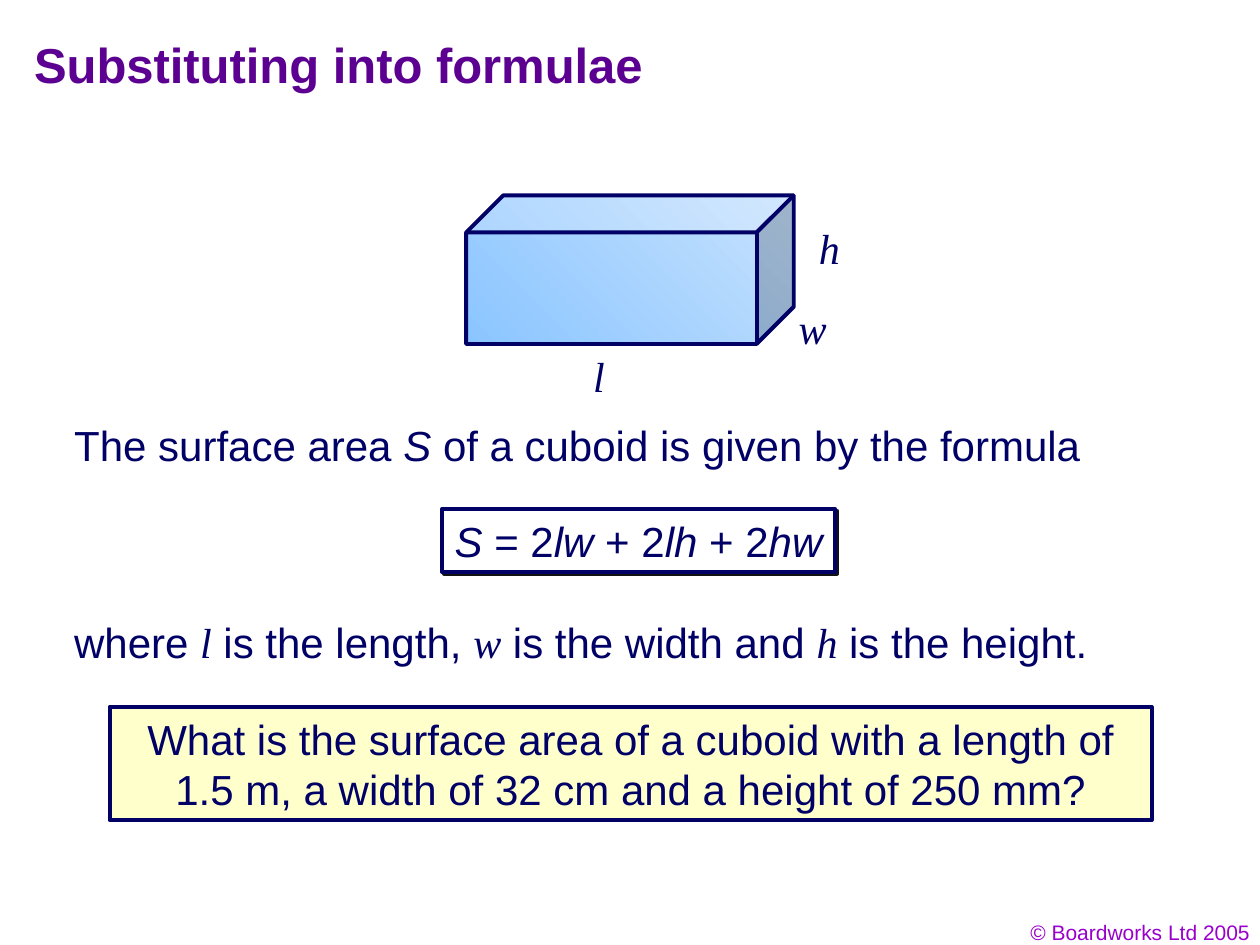
import pptx
import pptx.util
import pptx.dml.color
import pptx.enum.shapes
import pptx.enum.text
import pptx.oxml
import pptx.oxml.ns

Inches = pptx.util.Inches
Pt = pptx.util.Pt
Align = pptx.enum.text.PP_ALIGN
Anchor = pptx.enum.text.MSO_ANCHOR
Shape = pptx.enum.shapes.MSO_SHAPE

COLORS = {
    "title": "5B0091", "text": "010066", "line": "000066", "credit": "9900CC",
    "light": "C7E2FE", "deep": "8BC5FF", "white": "FFFFFF", "cream": "FFFFCC",
    "shadow": "111111",
}
SANS, SERIF = "Arial", "Times New Roman"
PLAIN, SLANT, MATH = (SANS, False), (SANS, True), (SERIF, True)


def color(name):
    return pptx.dml.color.RGBColor.from_string(COLORS[name])


def write(shape, runs, size=24, tint="text", bold=False, align=Align.LEFT,
          wrap=False, anchor=Anchor.TOP):
    frame = shape.text_frame
    frame.word_wrap = wrap
    frame.vertical_anchor = anchor
    frame.auto_size = pptx.enum.text.MSO_AUTO_SIZE.NONE
    line = frame.paragraphs[0]
    line.alignment = align
    for text, (face, slant) in runs:
        run = line.add_run()
        run.text = text
        run.font.name = face
        run.font.size = Pt(size)
        run.font.bold = bold
        run.font.italic = slant
        run.font.color.rgb = color(tint)


def add_text(slide, box, runs, **style):
    shape = slide.shapes.add_textbox(*map(Inches, box))
    write(shape, runs, **style)


def add_block(slide, box, kind=Shape.RECTANGLE, fill=None):
    shape = slide.shapes.add_shape(kind, *map(Inches, box))
    shape.shadow.inherit = False
    shape.line.color.rgb = color("line")
    shape.line.width = Pt(2.25)
    if fill:
        shape.fill.solid()
        shape.fill.fore_color.rgb = color(fill)
    return shape


def add_title(slide, box, text):
    title = slide.shapes.title
    title.left, title.top, title.width, title.height = map(Inches, box)
    write(title, [(text, PLAIN)], size=28, tint="title", bold=True,
          wrap=True, anchor=Anchor.MIDDLE)


def add_cuboid(slide, box):
    left, top, width, height = box
    cube = add_block(slide, box, Shape.CUBE)
    cube.adjustments[0] = 0.25
    cube.fill.gradient()
    cube.fill.gradient_angle = 225
    for stop, name in zip(cube.fill.gradient_stops, ("light", "deep")):
        stop.color.rgb = color(name)
    right, base = left + width, top + height
    for text, x, y, wide in (("w", right - 0.06, base - 0.38, 0.42),
                             ("l", left + 0.91, base, 0.29),
                             ("h", right + 0.1, top + 0.17, 0.36)):
        add_text(slide, (x, y, wide, 0.5), [(text, MATH)])


def add_formula(slide, box):
    shape = add_block(slide, box, fill="white")
    effects = shape._element.spPr.find(pptx.oxml.ns.qn("a:effectLst"))
    effects.append(pptx.oxml.parse_xml(
        f'<a:outerShdw {pptx.oxml.ns.nsdecls("a")} dist="{Pt(1.4)}" dir="2700000" '
        f'algn="ctr" rotWithShape="0"><a:srgbClr val="{COLORS["shadow"]}"/></a:outerShdw>'))
    write(shape, [("S", SLANT), (" = 2", PLAIN), ("lw", SLANT), (" + 2", PLAIN),
                  ("lh", SLANT), (" + 2", PLAIN), ("hw", SLANT)])


def add_question(slide, box, text):
    shape = add_block(slide, box, fill="cream")
    write(shape, [(text, PLAIN)], align=Align.CENTER, wrap=True)


def main():
    deck = pptx.Presentation()
    deck.slide_width, deck.slide_height = Inches(10), Inches(7.5)
    slide = deck.slides.add_slide(deck.slide_layouts[5])
    add_text(slide, (7.69, 7.25, 2.33, 0.3), [("© Boardworks Ltd 2005", PLAIN)],
             size=12, tint="credit", align=Align.RIGHT, wrap=True)
    add_title(slide, (0.17, 0.17, 7.67, 0.67), "Substituting into formulae")
    add_cuboid(slide, (3.7, 1.55, 2.6, 1.18))
    add_text(slide, (0.49, 3.28, 8.18, 0.5), [
        ("The surface area ", PLAIN), ("S", SLANT),
        (" of a cuboid is given by the formula", PLAIN)])
    add_formula(slide, (3.51, 4.04, 3.12, 0.5))
    add_text(slide, (0.49, 4.84, 8.24, 0.5), [
        ("where ", PLAIN), ("l", MATH), (" is the length, ", PLAIN), ("w", MATH),
        (" is the width and ", PLAIN), ("h", MATH), (" is the height.", PLAIN)])
    add_question(slide, (0.87, 5.61, 8.27, 0.9),
                 "What is the surface area of a cuboid with a length of "
                 "1.5 m, a width of 32 cm and a height of 250 mm?")
    deck.save("out.pptx")


if __name__ == "__main__":
    main()
